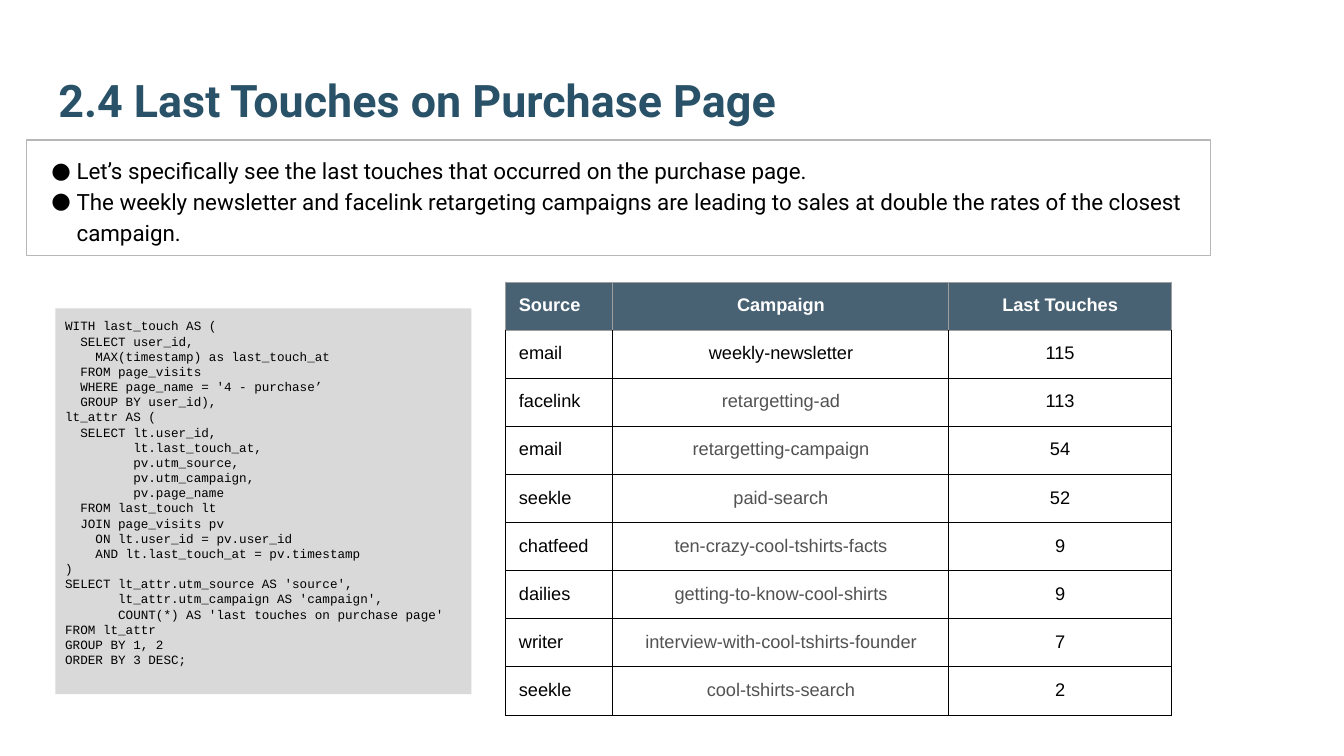
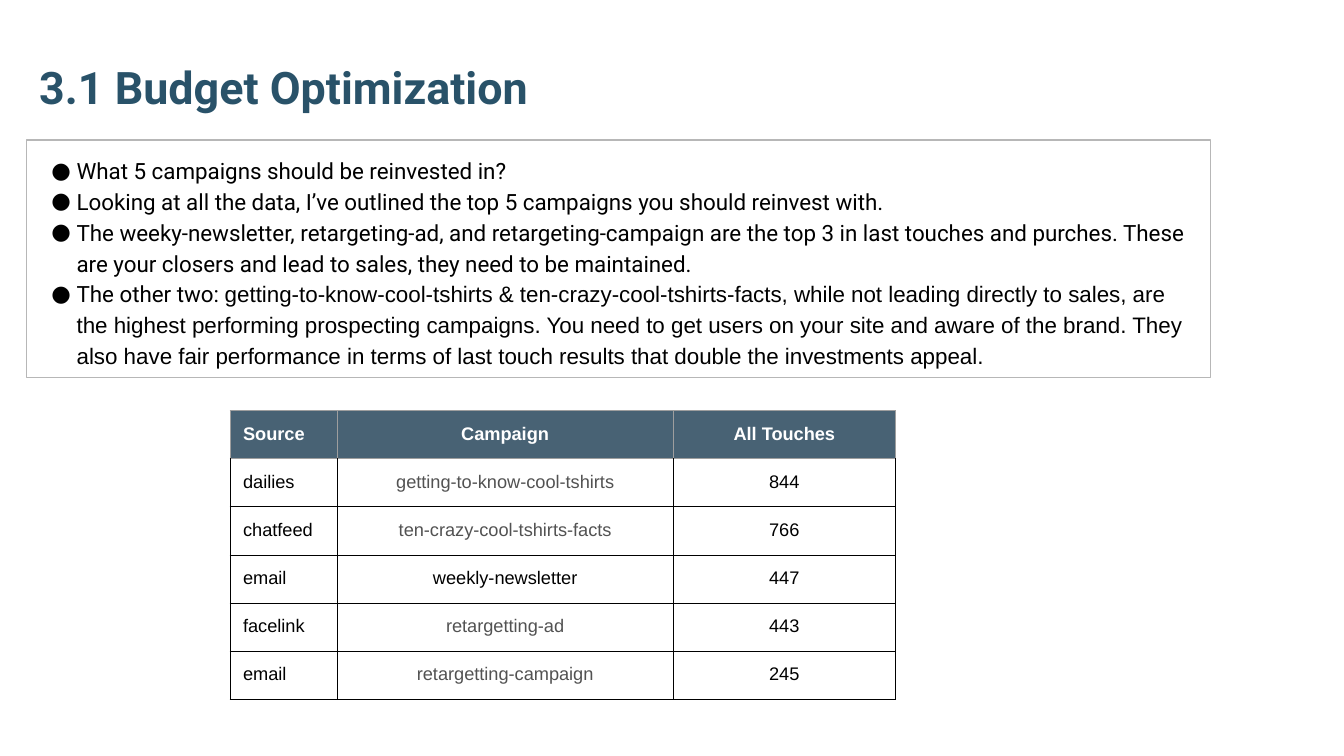
"""Build two campaign slides with a title, a bullet box, a table and a query."""
import pptx
import pptx.dml.color
import pptx.enum.shapes
import pptx.enum.text
import pptx.oxml.ns
import pptx.util
from dataclasses import dataclass
from lxml import etree

Pt = pptx.util.Pt
RGB = pptx.dml.color.RGBColor.from_string
ALIGN = pptx.enum.text.PP_ALIGN
ANCHOR = pptx.enum.text.MSO_ANCHOR
RECT = pptx.enum.shapes.MSO_SHAPE.RECTANGLE
qn = pptx.oxml.ns.qn


@dataclass(frozen=True)
class Theme:
    title: str = "295269"
    header: str = "204056"
    header_alpha: int = 82
    header_border: str = "9E9E9E"
    box_border: str = "B7B7B7"
    code_fill: str = "D9D9D9"
    ink: str = "000000"
    muted: str = "525252"
    white: str = "FFFFFF"
    heading_font: str = "Roboto"
    body_font: str = "Arial"
    code_font: str = "Courier New"
    title_size: int = 32
    bullet_size: int = 16
    table_size: int = 13
    code_size: int = 9
    inset: float = 9.36


T = Theme()
COL_WIDTHS = (76.5, 240, 158.9)
ROW_HEIGHT = 33.6
STRONG_CAMPAIGN = "weekly-newsletter"

QUERY = """WITH last_touch AS (
  SELECT user_id,
    MAX(timestamp) as last_touch_at
  FROM page_visits
  WHERE page_name = '4 - purchase’
  GROUP BY user_id),
lt_attr AS (
  SELECT lt.user_id,
         lt.last_touch_at,
         pv.utm_source,
         pv.utm_campaign,
         pv.page_name
  FROM last_touch lt
  JOIN page_visits pv
    ON lt.user_id = pv.user_id
    AND lt.last_touch_at = pv.timestamp
)
SELECT lt_attr.utm_source AS 'source',
       lt_attr.utm_campaign AS 'campaign',
       COUNT(*) AS 'last touches on purchase page'
FROM lt_attr
GROUP BY 1, 2
ORDER BY 3 DESC;"""

SLIDES = [
    {
        "title": "2.4 Last Touches on Purchase Page",
        "title_at": (32.4, 31),
        "box_height": 82.3,
        "bullets": [
            [("Let’s specifically see the last touches that occurred on the purchase page.", T.heading_font)],
            [("The weekly newsletter and facelink retargeting campaigns are leading to sales at double "
              "the rates of the closest campaign.", T.heading_font)],
        ],
        "table_at": (361.3, 201.5),
        "rows": [
            ("Source", "Campaign", "Last Touches"),
            ("email", "weekly-newsletter", "115"),
            ("facelink", "retargetting-ad", "113"),
            ("email", "retargetting-campaign", "54"),
            ("seekle", "paid-search", "52"),
            ("chatfeed", "ten-crazy-cool-tshirts-facts", "9"),
            ("dailies", "getting-to-know-cool-shirts", "9"),
            ("writer", "interview-with-cool-tshirts-founder", "7"),
            ("seekle", "cool-tshirts-search", "2"),
        ],
        "code": QUERY,
    },
    {
        "title": "3.1 Budget Optimization",
        "title_at": (18.7, 21.2),
        "box_height": 170,
        "bullets": [
            [("What 5 campaigns should be reinvested in?", T.heading_font)],
            [("Looking at all the data, I’ve outlined the top 5 campaigns you should reinvest with.",
              T.heading_font)],
            [("The weeky-newsletter, retargeting-ad, and retargeting-campaign are the top 3 in last touches "
              "and purches. These are your closers and lead to sales, they need to be maintained.",
              T.heading_font)],
            [("The other two: ", T.heading_font),
             ("getting-to-know-cool-tshirts & ten-crazy-cool-tshirts-facts, while not leading directly to "
              "sales, are the highest performing prospecting campaigns. You need to get users on your site "
              "and aware of the brand. They also have fair performance in terms of last touch results that "
              "double the investments appeal.", T.body_font)],
        ],
        "table_at": (164.3, 293.4),
        "rows": [
            ("Source", "Campaign", "All Touches"),
            ("dailies", "getting-to-know-cool-tshirts", "844"),
            ("chatfeed", "ten-crazy-cool-tshirts-facts", "766"),
            ("email", "weekly-newsletter", "447"),
            ("facelink", "retargetting-ad", "443"),
            ("email", "retargetting-campaign", "245"),
        ],
    },
]


def style_run(r, font, size, color, bold=False):
    r.font.name = font
    r.font.size = Pt(size)
    r.font.bold = bold
    r.font.color.rgb = RGB(color)


def set_insets(target, inset, left=None):
    target.margin_left = Pt(inset if left is None else left)
    target.margin_right = target.margin_top = target.margin_bottom = Pt(inset)


def add_node(parent, tag, **attrs):
    return etree.SubElement(parent, qn(tag), {k: str(v) for k, v in attrs.items()})


def add_title(s, text, at):
    tf = s.shapes.add_textbox(Pt(at[0]), Pt(at[1]), Pt(894), Pt(69)).text_frame
    tf.word_wrap = True
    tf.vertical_anchor = ANCHOR.BOTTOM
    set_insets(tf, T.inset)
    tf.text = text
    style_run(tf.paragraphs[0].runs[0], T.heading_font, T.title_size, T.title, True)


def add_box(s, x, y, w, h, inset, left=None):
    sp = s.shapes.add_shape(RECT, Pt(x), Pt(y), Pt(w), Pt(h))
    sp.shadow.inherit = False
    sp.fill.background()
    sp.line.fill.background()
    tf = sp.text_frame
    tf.word_wrap = True
    tf.vertical_anchor = ANCHOR.TOP
    set_insets(tf, inset, left)
    return sp


def add_bullets(s, bullets, height):
    sp = add_box(s, 18.7, 100, 846, height, T.inset, 18)
    sp.line.color.rgb = RGB(T.box_border)
    sp.line.width = Pt(0.75)
    tf = sp.text_frame
    for i, parts in enumerate(bullets):
        p = tf.add_paragraph() if i else tf.paragraphs[0]
        p.alignment = ALIGN.LEFT
        p.line_spacing = 1.15
        pPr = p._p.get_or_add_pPr()
        pPr.set("marL", str(Pt(18)))
        pPr.set("indent", str(Pt(-20)))
        add_node(add_node(pPr, "a:buClr"), "a:srgbClr", val=T.ink)
        add_node(pPr, "a:buFont", typeface=T.heading_font)
        add_node(pPr, "a:buChar", char="●")
        for text, font in parts:
            r = p.add_run()
            r.text = text
            style_run(r, font, T.bullet_size, T.ink)


def set_borders(cell, colors):
    tcPr = cell._tc.get_or_add_tcPr()
    for side, color in zip("LRTB", colors):
        ln = add_node(tcPr, f"a:ln{side}", w=Pt(0.75))
        add_node(add_node(ln, "a:solidFill"), "a:srgbClr", val=color)


def add_table(s, rows, at):
    shape = s.shapes.add_table(len(rows), len(COL_WIDTHS), Pt(at[0]), Pt(at[1]),
                               Pt(sum(COL_WIDTHS)), Pt(ROW_HEIGHT * len(rows)))
    table = shape.table
    table.first_row = table.horz_banding = False
    for column, width in zip(table.columns, COL_WIDTHS):
        column.width = Pt(width)
    for i, values in enumerate(rows):
        table.rows[i].height = Pt(ROW_HEIGHT)
        for j, value in enumerate(values):
            cell = table.cell(i, j)
            set_insets(cell, T.inset)
            edge = T.header_border if i == 0 else T.ink
            top = T.header_border if i < 2 else T.ink
            set_borders(cell, (edge, edge, top, edge))
            color = T.ink
            if i == 0:
                color = T.white
                cell.fill.solid()
                cell.fill.fore_color.rgb = RGB(T.header)
                clr = cell._tc.tcPr.find(qn("a:solidFill")).find(qn("a:srgbClr"))
                add_node(clr, "a:alpha", val=T.header_alpha * 1000)
            else:
                cell.fill.background()
                if j == 1 and value != STRONG_CAMPAIGN:
                    color = T.muted
            cell.text_frame.text = value
            p = cell.text_frame.paragraphs[0]
            p.alignment = ALIGN.CENTER if j else ALIGN.LEFT
            style_run(p.runs[0], T.body_font, T.table_size, color, i == 0)


def add_code(s, code):
    sp = add_box(s, 39.5, 220.2, 297.2, 275.6, 7.2)
    sp.fill.solid()
    sp.fill.fore_color.rgb = RGB(T.code_fill)
    sp.text_frame.text = code
    for p in sp.text_frame.paragraphs:
        p.alignment = ALIGN.LEFT
        style_run(p.runs[0], T.code_font, T.code_size, T.ink)


def main():
    prs = pptx.Presentation()
    prs.slide_width, prs.slide_height = Pt(960), Pt(540)
    for content in SLIDES:
        s = prs.slides.add_slide(prs.slide_layouts[6])
        add_title(s, content["title"], content["title_at"])
        add_bullets(s, content["bullets"], content["box_height"])
        add_table(s, content["rows"], content["table_at"])
        if "code" in content:
            add_code(s, content["code"])
    prs.save("out.pptx")


if __name__ == "__main__":
    main()
